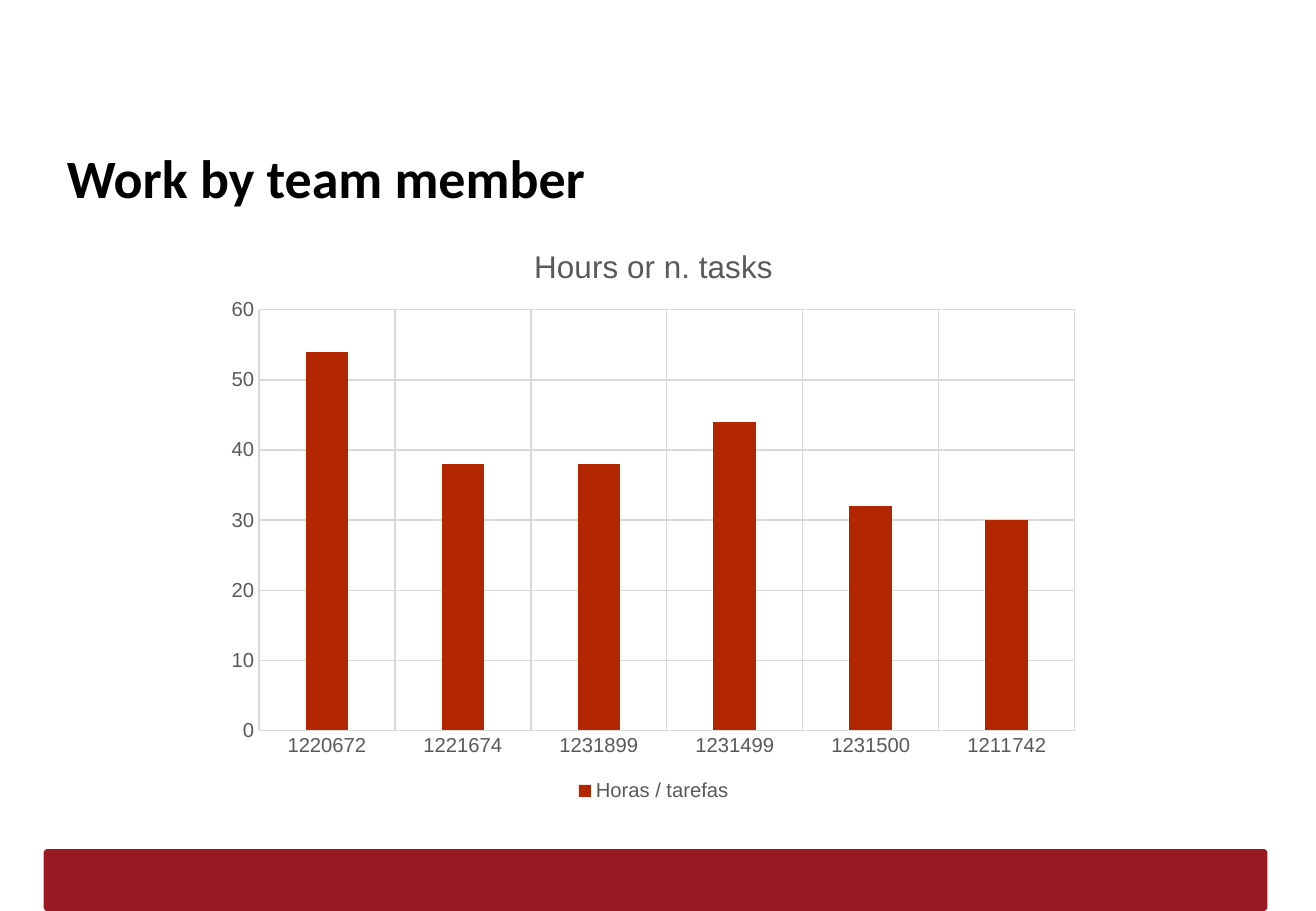
from lxml import etree
from pptx import Presentation
from pptx.chart.data import CategoryChartData
from pptx.dml.color import RGBColor
from pptx.enum.chart import XL_CHART_TYPE, XL_LEGEND_POSITION, XL_TICK_MARK
from pptx.enum.shapes import MSO_SHAPE
from pptx.enum.text import MSO_ANCHOR, PP_ALIGN
from pptx.oxml.ns import qn
from pptx.util import Pt

EMU_PER_PX = 9144  # 100 px to the inch
SLIDE_WIDTH, SLIDE_HEIGHT = 1083, 750
TITLE_ONLY = 5

COLUMNS = XL_CHART_TYPE.COLUMN_CLUSTERED
LEGEND_BOTTOM = XL_LEGEND_POSITION.BOTTOM
NO_TICK = XL_TICK_MARK.NONE
ROUNDED = MSO_SHAPE.ROUNDED_RECTANGLE
TOP = MSO_ANCHOR.TOP
LEFT = PP_ALIGN.LEFT

COLORS = {
    "footer": "9A1A24",
    "title": "000000",
    "bar": "B22600",
    "label": "595959",
    "grid": "D9D9D9",
}

HOURS = {
    "1220672": 54,
    "1221674": 38,
    "1231899": 38,
    "1231499": 44,
    "1231500": 32,
    "1211742": 30,
}
PLOT_AREA = {"x": 0.05, "y": 0.15, "w": 0.93, "h": 0.72}


def px(length):
    return length * EMU_PER_PX


def color(name):
    return RGBColor.from_string(COLORS[name])


def format_font(font, size, name="Arial", tint="label", bold=False):
    font.name = name
    font.size = Pt(size)
    font.bold = bold
    font.color.rgb = color(tint)


def write_text(text_frame, text, align=None, **font_format):
    paragraph = text_frame.paragraphs[0]
    if align is not None:
        paragraph.alignment = align
    run = paragraph.add_run()
    run.text = text
    format_font(run.font, **font_format)


def format_line(line, tint):
    line.color.rgb = color(tint)
    line.width = Pt(0.75)


def place_plot_area(chart):
    plot_area = chart.plots[0]._element.getparent()
    for old_layout in plot_area.findall(qn("c:layout")):
        plot_area.remove(old_layout)
    layout = etree.Element(qn("c:layout"))
    manual = etree.SubElement(layout, qn("c:manualLayout"))
    settings = {"layoutTarget": "inner", "xMode": "edge", "yMode": "edge", **PLOT_AREA}
    for tag, value in settings.items():
        etree.SubElement(manual, qn(f"c:{tag}")).set("val", str(value))
    plot_area.insert(0, layout)


class SlideBuilder:
    def __init__(self, presentation):
        layout = presentation.slide_layouts[TITLE_ONLY]
        self.slide = presentation.slides.add_slide(layout)

    def title(self, text, left, top, width, height):
        shape = self.slide.shapes.title
        shape.left, shape.top = px(left), px(top)
        shape.width, shape.height = px(width), px(height)
        frame = shape.text_frame
        frame.word_wrap = True
        frame.vertical_anchor = TOP
        frame.margin_left = frame.margin_right = px(10)
        frame.margin_top = frame.margin_bottom = px(10)
        write_text(frame, text, align=LEFT, size=32, name="Calibri",
                   tint="title", bold=True)

    def rounded_bar(self, left, top, width, height, tint):
        shape = self.slide.shapes.add_shape(
            ROUNDED, px(left), px(top), px(width), px(height))
        shape.adjustments[0] = 0.06
        shape.shadow.inherit = False
        shape.fill.solid()
        shape.fill.fore_color.rgb = color(tint)
        shape.line.fill.background()

    def column_chart(self, title, series_name, values, left, top, width, height):
        data = CategoryChartData()
        data.categories = list(values)
        data.add_series(series_name, values.values())
        chart = self.slide.shapes.add_chart(
            COLUMNS, px(left), px(top), px(width), px(height), data).chart
        format_font(chart.font, size=12)
        chart.has_title = True
        write_text(chart.chart_title.text_frame, title, size=18.6)
        chart.chart_title.include_in_layout = False

        # Columns
        plot = chart.plots[0]
        plot.vary_by_categories = False
        plot.gap_width = 219
        plot.overlap = -27
        fill = plot.series[0].format.fill
        fill.solid()
        fill.fore_color.rgb = color("bar")

        # Axes and grid
        for axis in (chart.category_axis, chart.value_axis):
            axis.major_tick_mark = axis.minor_tick_mark = NO_TICK
            axis.has_major_gridlines = True
            format_line(axis.major_gridlines.format.line, "grid")
            format_font(axis.tick_labels.font, size=12)
        format_line(chart.category_axis.format.line, "grid")
        value_axis = chart.value_axis
        value_axis.format.line.fill.background()
        value_axis.minimum_scale, value_axis.maximum_scale = 0, 60
        value_axis.major_unit = 10

        # Legend
        chart.has_legend = True
        chart.legend.position = LEGEND_BOTTOM
        chart.legend.include_in_layout = False
        format_font(chart.legend.font, size=12)
        place_plot_area(chart)


def main():
    presentation = Presentation()
    presentation.slide_width = px(SLIDE_WIDTH)
    presentation.slide_height = px(SLIDE_HEIGHT)
    builder = SlideBuilder(presentation)

    # Footer band
    builder.rounded_bar(36, 699, 1007, 51, "footer")
    # Heading
    builder.title("Work by team member", 45, 109, 989, 63)
    # Hours per member
    builder.column_chart("Hours or n. tasks", "Horas / tarefas", HOURS,
                         177, 183, 722, 481)
    presentation.save("out.pptx")


if __name__ == "__main__":
    main()
